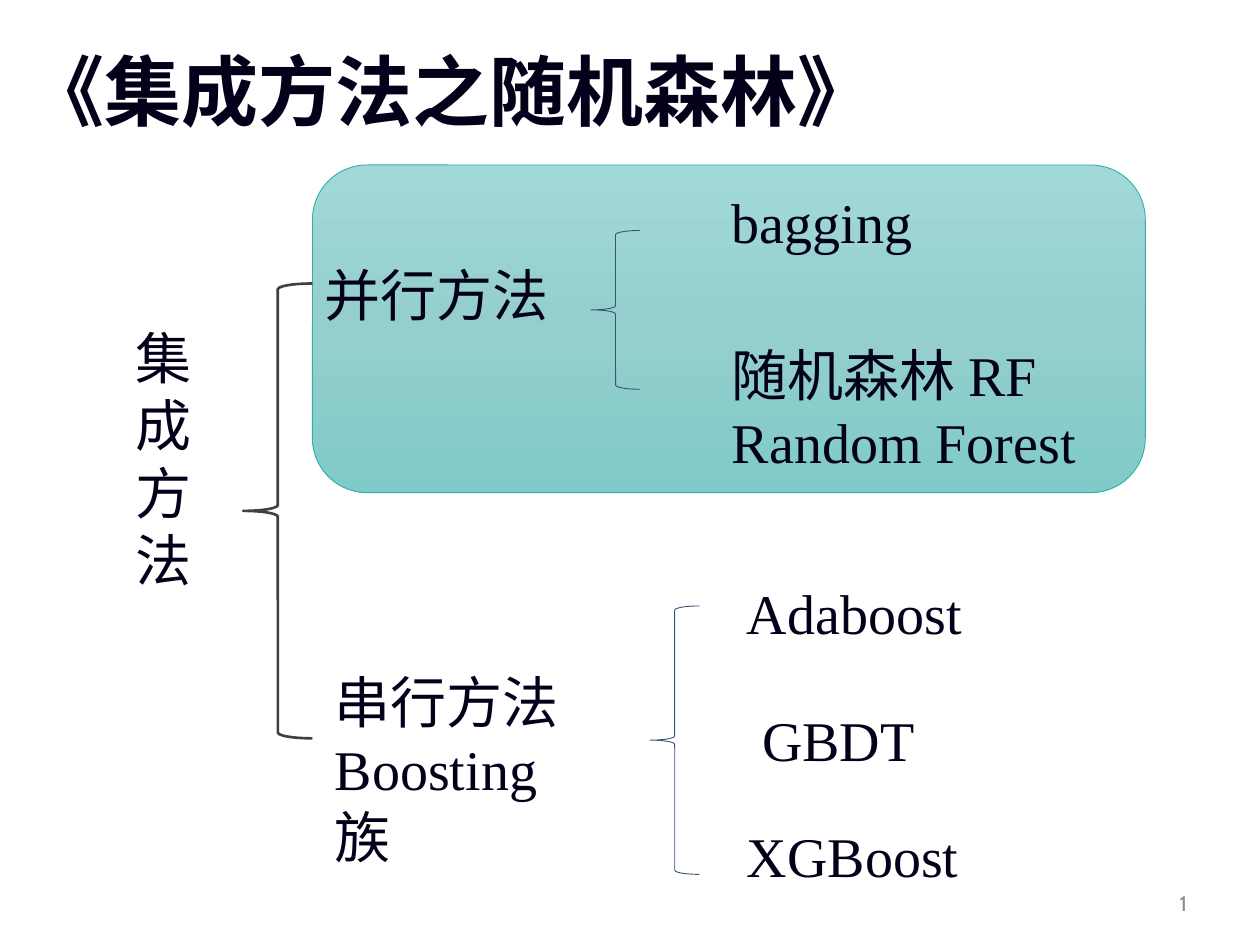
from copy import deepcopy

from pptx import Presentation
from pptx.dml.color import RGBColor
from pptx.enum.shapes import MSO_SHAPE
from pptx.enum.text import MSO_ANCHOR, PP_ALIGN
from pptx.oxml.ns import qn
from pptx.util import Inches, Pt

CJK = "Noto Sans CJK SC"
SERIF = "Times New Roman"
INK = "03001A"


def color(hex_string):
    return RGBColor.from_string(hex_string)


def add_text(page, box, paragraphs, size=32, ink=INK, bold=None, wrap=False):
    """Add a text box; each paragraph is a list of (text, font) pairs."""
    frame = page.shapes.add_textbox(*map(Inches, box)).text_frame
    frame.word_wrap = wrap
    for index, parts in enumerate(paragraphs):
        para = frame.paragraphs[0] if index == 0 else frame.add_paragraph()
        for text, font in parts:
            span = para.add_run()
            span.text = text
            span.font.size = Pt(size)
            span.font.bold = bold
            span.font.name = font
            span.font.color.rgb = color(ink)
            east_asian = deepcopy(span.font._element.find(qn("a:latin")))
            east_asian.tag = qn("a:ea")
            span.font._element.append(east_asian)
    return frame


def add_brace(page, box, line, width):
    brace = page.shapes.add_shape(MSO_SHAPE.LEFT_BRACE, *map(Inches, box))
    brace.shadow.inherit = False
    brace.fill.background()
    brace.line.color.rgb = color(line)
    brace.line.width = Pt(width)


def add_panel(page, box):
    panel = page.shapes.add_shape(MSO_SHAPE.ROUNDED_RECTANGLE, *map(Inches, box))
    panel.shadow.inherit = False
    panel.line.color.rgb = color("30AEAB")
    panel.line.width = Pt(0.5)
    panel.fill.gradient()
    panel.fill.gradient_angle = 270
    stop_list = panel._element.spPr.find(qn("a:gradFill")).find(qn("a:gsLst"))
    stop_list.append(deepcopy(stop_list[0]))
    stops = [(0, "A1D9D7"), (0.5, "94CFCD"), (1, "80CBC9")]
    for stop, (position, tint) in zip(panel.fill.gradient_stops, stops):
        stop.position = position
        stop.color.rgb = color(tint)


def add_title(page, box):
    frame = add_text(page, box, [[("《集成方法之随机森林》", CJK)]], size=44, bold=True, wrap=True)
    frame.paragraphs[0].line_spacing = 0.8


def add_root(page, left, top):
    add_text(page, (left, top, 0.65, 2.26), [[(char, CJK)] for char in "集成方法"])
    add_brace(page, (left + 0.95, top - 0.27, 0.55, 3.61), "404040", 1.5)


def add_parallel_branch(page, box):
    left, top = box[:2]
    add_panel(page, box)
    add_text(page, (left, top + 0.71, 2, 0.64), [[("并行方法", CJK)]])
    add_brace(page, (left + 2.21, top + 0.52, 0.39, 1.26), "39527B", 0.5)
    add_text(page, (left + 3.23, top + 0.13, 1.65, 0.64), [[("bagging", SERIF)]])
    add_text(page, (left + 3.23, top + 1.34, 2.99, 1.18),
             [[("随机森林 ", CJK), ("RF", SERIF)], [("Random Forest", SERIF)]])


def add_serial_branch(page, left, top):
    label = add_text(page, (left, top + 0.71, 2.27, 1.18),
                     [[("串行方法", CJK)], [("Boosting", SERIF), ("族", CJK)]], wrap=True)
    label.margin_right = Inches(0.2)  # sends the last character to its own line
    add_brace(page, (left + 2.6, top + 0.27, 0.39, 2.13), "39527B", 0.5)
    methods = [("Adaboost", 3.27, 0, 2), ("GBDT", 3.39, 1.01, 1.42), ("XGBoost", 3.27, 1.93, 1.9)]
    for name, across, down, width in methods:
        add_text(page, (left + across, top + down, width, 0.64), [[(name, SERIF)]])


def add_page_number(page, box):
    frame = add_text(page, box, [[("1", "Cabin")]], size=12, ink="8C8C8C", wrap=True)
    frame.vertical_anchor = MSO_ANCHOR.MIDDLE
    frame.paragraphs[0].alignment = PP_ALIGN.RIGHT


def main():
    deck = Presentation()
    deck.slide_width, deck.slide_height = Inches(10), Inches(7.5)
    page = deck.slides.add_slide(deck.slide_layouts[6])
    add_parallel_branch(page, (2.48, 1.31, 6.61, 2.6))
    add_title(page, (0.12, 0.44, 7.97, 0.94))
    add_root(page, 0.98, 2.52)
    add_serial_branch(page, 2.56, 4.54)
    add_page_number(page, (7.19, 6.97, 2.33, 0.4))
    deck.save("out.pptx")


if __name__ == "__main__":
    main()
